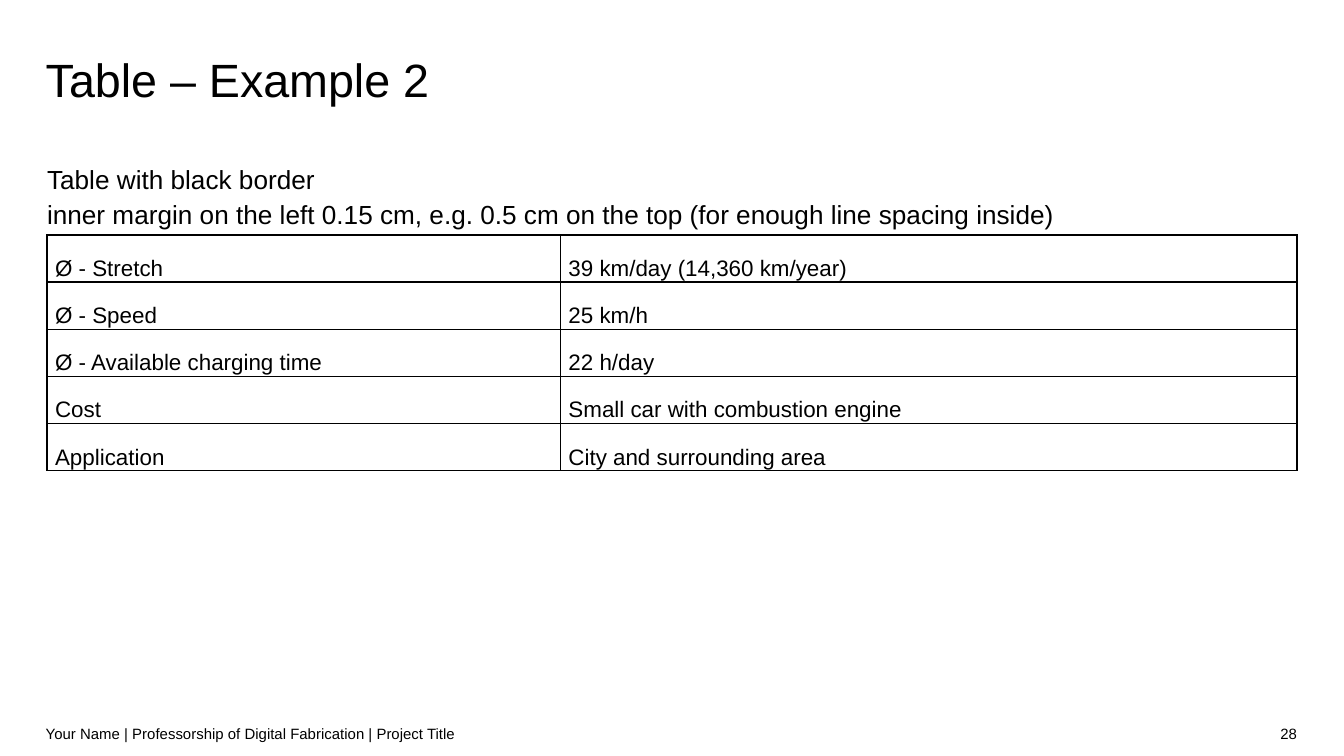
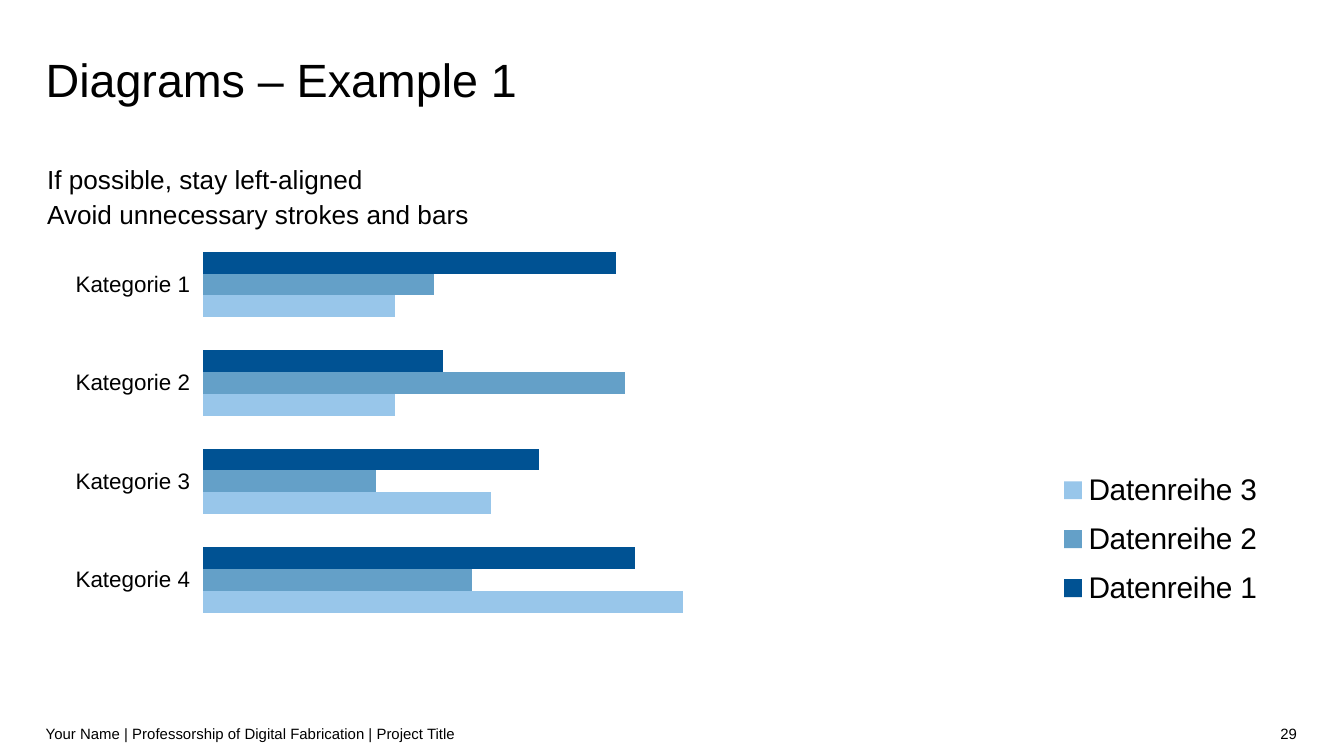
from lxml import etree
from pptx import Presentation
from pptx.chart.data import CategoryChartData
from pptx.dml.color import RGBColor
from pptx.enum.chart import XL_CHART_TYPE, XL_LEGEND_POSITION, XL_TICK_LABEL_POSITION, XL_TICK_MARK
from pptx.enum.text import MSO_ANCHOR, PP_ALIGN
from pptx.oxml import parse_xml
from pptx.oxml.ns import nsdecls, qn
from pptx.util import Inches, Pt

BAR_CLUSTERED = XL_CHART_TYPE.BAR_CLUSTERED
LEGEND_RIGHT = XL_LEGEND_POSITION.RIGHT
LABELS_LOW = XL_TICK_LABEL_POSITION.LOW
TICK_OUT = XL_TICK_MARK.OUTSIDE
TOP, MIDDLE = MSO_ANCHOR.TOP, MSO_ANCHOR.MIDDLE
LEFT, RIGHT = PP_ALIGN.LEFT, PP_ALIGN.RIGHT

FONT = "Arial"
BLACK = RGBColor(0x00, 0x00, 0x00)
DARK_BLUE = RGBColor(0x00, 0x52, 0x93)
MID_BLUE = RGBColor(0x64, 0xA0, 0xC8)
LIGHT_BLUE = RGBColor(0x98, 0xC6, 0xEA)

SLIDE_WIDTH = 10
SLIDE_HEIGHT = SLIDE_WIDTH * 9 / 16
MARGIN = 0.35
CONTENT_TOP = 1.75
CONTENT_WIDTH = 9.31
FOOTER = "Your Name | Professorship of Digital Fabrication | Project Title"

COLUMN_WIDTHS = [3.82, 5.48]
TABLE_HEIGHT = 1.74
VEHICLE_ROWS = [
    ("Ø - Stretch", "39 km/day (14,360 km/year)"),
    ("Ø - Speed", "25 km/h"),
    ("Ø - Available charging time", "22 h/day"),
    ("Cost", "Small car with combustion engine"),
    ("Application", "City and surrounding area"),
]
CATEGORIES = ["Kategorie 1", "Kategorie 2", "Kategorie 3", "Kategorie 4"]
SERIES = [
    ("Datenreihe 1", (86, 50, 70, 90), DARK_BLUE),
    ("Datenreihe 2", (48, 88, 36, 56), MID_BLUE),
    ("Datenreihe 3", (40, 40, 60, 100), LIGHT_BLUE),
]


def style_font(font, size):
    font.name = FONT
    font.size = Pt(size)
    font.color.rgb = BLACK


def add_text(slide, text, left, top, width, height, size,
             align=LEFT, anchor=TOP, inset=0, spacing=None):
    """Add a one-paragraph box; inset is the top and bottom margin."""
    box = slide.shapes.add_textbox(Inches(left), Inches(top), Inches(width), Inches(height))
    tf = box.text_frame
    tf.word_wrap = True
    tf.vertical_anchor = anchor
    tf.margin_left = tf.margin_right = 0
    tf.margin_top = tf.margin_bottom = Inches(inset)
    p = tf.paragraphs[0]
    p.text = text
    p.alignment = align
    if spacing is not None:
        p.line_spacing = spacing
    for r in p.runs:
        style_font(r.font, size)


def add_content_slide(prs, number, title, intro_lines):
    """Add a slide with the shared title, introduction and footer."""
    slide = prs.slides.add_slide(prs.slide_layouts[6])
    add_text(slide, title, 0.34, 0.35, CONTENT_WIDTH, 0.42, 25, spacing=Pt(32))
    add_text(slide, "\v".join(intro_lines), MARGIN, 1.18, CONTENT_WIDTH, 0.51, 14, spacing=1.14)
    add_text(slide, FOOTER, 0.34, 5.31, 7.07, 0.3, 8, anchor=MIDDLE, inset=0.05)
    add_text(slide, str(number), 7.41, 5.31, 2.24, 0.3, 8, RIGHT, MIDDLE, 0.05)
    return slide


def set_borders(cell):
    tc_pr = cell._tc.get_or_add_tcPr()
    for i, side in enumerate(("lnL", "lnR", "lnT", "lnB")):
        tc_pr.insert(i, parse_xml(
            f'<a:{side} {nsdecls("a")} w="{Pt(1)}"><a:solidFill>'
            f'<a:srgbClr val="{BLACK}"/></a:solidFill></a:{side}>'))


def add_bordered_table(slide, rows):
    frame = slide.shapes.add_table(
        len(rows), len(COLUMN_WIDTHS), Inches(MARGIN), Inches(CONTENT_TOP),
        Inches(sum(COLUMN_WIDTHS)), Inches(TABLE_HEIGHT))
    table = frame.table
    table.first_row = table.horz_banding = False
    for column, width in zip(table.columns, COLUMN_WIDTHS):
        column.width = Inches(width)
    for row, texts in zip(table.rows, rows):
        row.height = Inches(TABLE_HEIGHT / len(rows))
        for cell, text in zip(row.cells, texts):
            cell.text = text
            cell.vertical_anchor = MIDDLE
            cell.margin_left, cell.margin_top = Inches(0.06), Inches(0.15)
            cell.margin_right = cell.margin_bottom = 0
            style_font(cell.text_frame.paragraphs[0].runs[0].font, 12)
            cell.fill.background()
            set_borders(cell)


def set_layout(parent, index, x, y, w, h, inner=False):
    """Place a chart part by fractions of the chart area."""
    for old in parent.findall(qn("c:layout")):
        parent.remove(old)
    layout = parse_xml(f'<c:layout {nsdecls("c")}><c:manualLayout/></c:layout>')
    settings = [("layoutTarget", "inner")] if inner else []
    settings += [("xMode", "edge"), ("yMode", "edge"), ("x", x), ("y", y), ("w", w), ("h", h)]
    for tag, value in settings:
        etree.SubElement(layout[0], qn(f"c:{tag}")).set("val", str(value))
    parent.insert(index, layout)


def add_bar_chart(slide):
    data = CategoryChartData()
    data.categories = CATEGORIES
    for name, values, _ in SERIES:
        data.add_series(name, values)
    chart = slide.shapes.add_chart(
        BAR_CLUSTERED, Inches(MARGIN), Inches(CONTENT_TOP),
        Inches(CONTENT_WIDTH), Inches(3.12), data).chart
    style_font(chart.font, 16)
    chart.has_title = False

    plot = chart.plots[0]
    plot.gap_width = 150
    plot.overlap = 0
    plot.vary_by_categories = False
    for series, (_, _, color) in zip(plot.series, SERIES):
        series.format.fill.solid()
        series.format.fill.fore_color.rgb = color

    cat_axis = chart.category_axis
    cat_axis.reverse_order = True
    cat_axis.major_tick_mark = TICK_OUT
    cat_axis.tick_label_position = LABELS_LOW
    cat_axis.format.line.fill.background()
    style_font(cat_axis.tick_labels.font, 12)
    val_axis = chart.value_axis
    val_axis.minimum_scale, val_axis.maximum_scale = 0, 120
    val_axis.has_major_gridlines = False
    val_axis.visible = False

    chart.has_legend = True
    legend = chart.legend
    legend.position = LEGEND_RIGHT
    legend.include_in_layout = False
    style_font(legend.font, 16)
    set_layout(legend._element, 1, 0.8, 0.53, 0.18, 0.39)
    set_layout(chart._chartSpace.chart.plotArea, 0, 1 / 8, 0, 0.46, 0.94, inner=True)


def main():
    prs = Presentation()
    prs.slide_width, prs.slide_height = Inches(SLIDE_WIDTH), Inches(SLIDE_HEIGHT)

    slide = add_content_slide(prs, 28, "Table – Example 2", [
        "Table with black border",
        "inner margin on the left 0.15 cm, e.g. 0.5 cm on the top (for enough line spacing inside)"])
    add_bordered_table(slide, VEHICLE_ROWS)

    slide = add_content_slide(prs, 29, "Diagrams – Example 1", [
        "If possible, stay left-aligned", "Avoid unnecessary strokes and bars"])
    add_bar_chart(slide)

    prs.save("out.pptx")


if __name__ == "__main__":
    main()
